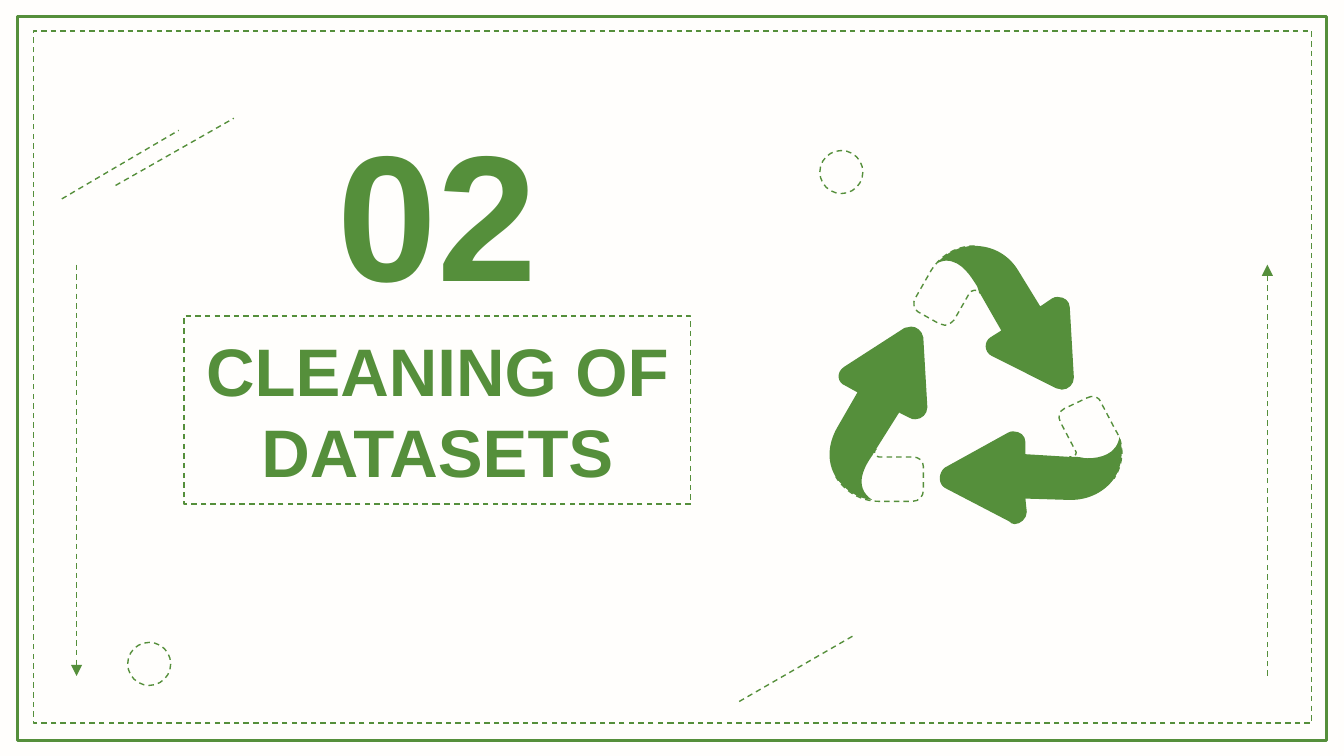
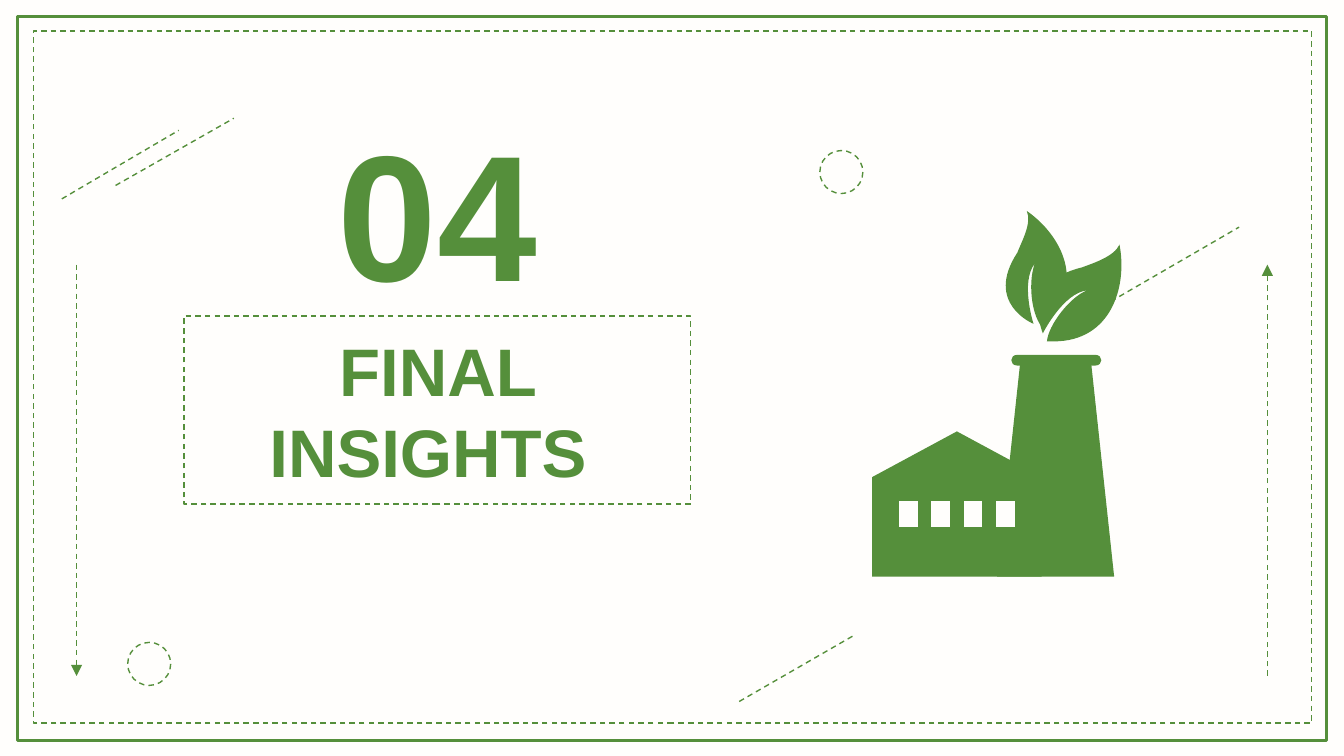
from lxml import etree
from pptx import Presentation
from pptx import util as u
from pptx.dml.color import RGBColor
from pptx.enum import dml, shapes, text
from pptx.oxml.ns import qn

COLORS = {"leaf": "558F3B", "paper": "FFFEFC"}
FONT = "Arial"

RECYCLE_TAILS = [
    [(6.52, 3.34), (6.22, 3.55), (6.29, 3.66, 6.41, 3.73, 6.54, 3.73),
     (6.54, 3.73, 6.54, 3.73, 6.55, 3.73),
     (6.79, 3.73), (6.84, 3.73, 6.87, 3.69, 6.87, 3.65), (6.87, 3.47),
     (6.87, 3.43, 6.84, 3.4, 6.79, 3.4), (6.54, 3.4),
     (6.52, 3.4, 6.5, 3.37, 6.51, 3.35), (6.52, 3.34)],
    [(7.25, 1.83), (7.12, 1.83, 7, 1.9, 6.93, 2.01), (6.81, 2.22),
     (6.79, 2.25, 6.8, 2.3, 6.83, 2.32), (6.99, 2.41),
     (7.01, 2.41, 7.02, 2.42, 7.03, 2.42),
     (7.06, 2.42, 7.08, 2.4, 7.1, 2.38), (7.22, 2.17),
     (7.23, 2.16, 7.24, 2.16, 7.25, 2.16),
     (7.27, 2.16, 7.28, 2.16, 7.29, 2.17), (7.29, 2.18), (7.25, 1.83)],
    [(8.12, 2.95), (8.11, 2.95, 8.1, 2.95, 8.09, 2.96), (7.92, 3.04),
     (7.88, 3.06, 7.87, 3.1, 7.89, 3.14), (8, 3.35),
     (8.02, 3.37, 8, 3.4, 7.97, 3.4), (7.96, 3.4), (8.29, 3.56),
     (8.36, 3.45, 8.37, 3.31, 8.3, 3.2), (8.19, 2.99),
     (8.18, 2.96, 8.15, 2.95, 8.12, 2.95)],
]
RECYCLE_HEADS = [
    [(6.78, 2.43), (6.76, 2.43, 6.75, 2.44, 6.73, 2.44), (6.28, 2.73),
     (6.22, 2.77, 6.23, 2.85, 6.29, 2.87), (6.38, 2.92), (6.23, 3.18),
     (6.16, 3.3, 6.15, 3.44, 6.22, 3.55),
     (6.28, 3.64, 6.38, 3.71, 6.49, 3.72),
     (6.34, 3.62, 6.44, 3.46, 6.49, 3.39),
     (6.5, 3.37, 6.52, 3.34, 6.52, 3.34), (6.69, 3.07), (6.77, 3.11),
     (6.78, 3.12, 6.8, 3.12, 6.81, 3.12),
     (6.86, 3.12, 6.9, 3.08, 6.9, 3.03), (6.87, 2.51),
     (6.86, 2.46, 6.82, 2.43, 6.78, 2.43)],
    [(7.25, 1.83), (7.14, 1.83, 7.04, 1.88, 6.97, 1.96),
     (6.99, 1.95, 7.02, 1.94, 7.04, 1.94),
     (7.16, 1.94, 7.23, 2.07, 7.27, 2.13),
     (7.28, 2.16, 7.29, 2.18, 7.29, 2.18), (7.45, 2.46), (7.37, 2.51),
     (7.32, 2.54, 7.32, 2.62, 7.38, 2.65), (7.86, 2.89),
     (7.88, 2.89, 7.89, 2.9, 7.9, 2.9),
     (7.95, 2.9, 7.99, 2.86, 7.99, 2.81), (7.96, 2.29),
     (7.96, 2.24, 7.92, 2.21, 7.87, 2.21),
     (7.86, 2.21, 7.84, 2.21, 7.83, 2.22), (7.74, 2.28), (7.58, 2.02),
     (7.51, 1.9, 7.39, 1.83, 7.25, 1.83)],
    [(7.54, 3.21), (7.53, 3.21, 7.51, 3.21, 7.5, 3.22), (7.03, 3.48),
     (6.98, 3.52, 6.98, 3.6, 7.03, 3.63), (7.51, 3.88),
     (7.52, 3.89, 7.53, 3.9, 7.55, 3.9),
     (7.59, 3.9, 7.64, 3.86, 7.64, 3.81), (7.63, 3.71), (7.95, 3.72),
     (7.95, 3.72, 7.96, 3.72, 7.97, 3.72),
     (8.1, 3.72, 8.22, 3.66, 8.29, 3.56),
     (8.35, 3.47, 8.36, 3.35, 8.33, 3.25),
     (8.31, 3.38, 8.19, 3.41, 8.09, 3.41),
     (8.06, 3.41, 8.04, 3.4, 8.01, 3.4), (7.96, 3.4), (7.63, 3.38),
     (7.63, 3.29), (7.63, 3.24, 7.59, 3.21, 7.54, 3.21)],
]
FACTORY_WALLS = [
    [(7.59, 2.71), (7.42, 4.29), (8.29, 4.29), (8.12, 2.71)],
    [(7.57, 2.64), (7.51, 2.64, 7.51, 2.72, 7.57, 2.72), (8.15, 2.72),
     (8.21, 2.72, 8.21, 2.64, 8.15, 2.64)],
    [(7.12, 3.21), (6.49, 3.55), (6.49, 4.29), (7.75, 4.29), (7.75, 3.55),
     (7.12, 3.21)],
]
LEAVES = [
    [(7.64, 1.57), (7.68, 1.66, 7.6, 1.8, 7.57, 1.88),
     (7.32, 2.26, 7.69, 2.41, 7.69, 2.41),
     (7.69, 2.41, 7.59, 2.1, 7.7, 1.96),
     (7.65, 2.09, 7.67, 2.33, 7.75, 2.43),
     (8.1, 2.13, 7.9, 1.75, 7.64, 1.57)],
    [(8.33, 1.82), (8.29, 1.91, 8.13, 1.96, 8.05, 1.99),
     (7.59, 2.1, 7.76, 2.48, 7.76, 2.48),
     (7.76, 2.48, 7.91, 2.18, 8.09, 2.16),
     (7.96, 2.21, 7.8, 2.42, 7.79, 2.54),
     (7.8, 2.54, 7.82, 2.54, 7.84, 2.54),
     (8.27, 2.54, 8.39, 2.13, 8.33, 1.82)],
]


class SectionDeck:
    def __init__(self):
        self.deck = Presentation()
        self.deck.slide_width = u.Inches(10)
        self.deck.slide_height = u.Inches(5.625)
        fill = self.deck.slide_master.background.fill
        fill.solid()
        fill.fore_color.rgb = self.color("paper")
        self.layout = self.deck.slide_layouts[2]
        self.page = None

    def color(self, name):
        return RGBColor.from_string(COLORS[name])

    def stroke(self, line, width=0.75, dashed=True):
        line.color.rgb = self.color("leaf")
        line.width = u.Pt(width)
        if dashed:
            line.dash_style = dml.MSO_LINE.DASH

    def paint(self, shape, fill=None, outlined=True, **stroke):
        shape.shadow.inherit = False
        if fill:
            shape.fill.solid()
            shape.fill.fore_color.rgb = self.color(fill)
        else:
            shape.fill.background()
        if outlined:
            self.stroke(shape.line, **stroke)
        else:
            shape.line.fill.background()

    def preset(self, kind, area, **style):
        shape = self.page.shapes.add_shape(kind, *map(u.Inches, area))
        self.paint(shape, **style)

    def outline(self, parent, nodes, **style):
        points = [(u.Inches(node[i]), u.Inches(node[i + 1]))
                  for node in nodes for i in range(0, len(node), 2)]
        builder = parent.shapes.build_freeform(*points[0], scale=1.0)
        builder.add_line_segments(points[1:], close=True)
        shape = builder.convert_to_shape()
        track = shape._element.find(".//" + qn("a:path"))
        segments = iter(track.findall(qn("a:lnTo")))
        for node in nodes[1:]:
            segment = next(segments)
            if len(node) == 6:
                segment.tag = qn("a:cubicBezTo")
                for extra in (next(segments), next(segments)):
                    segment.append(extra[0])
                    track.remove(extra)
        self.paint(shape, **style)

    def line(self, start, end, arrow=False):
        connector = self.page.shapes.add_connector(
            shapes.MSO_CONNECTOR.STRAIGHT, *map(u.Inches, start + end))
        self.stroke(connector.line)
        if arrow:
            tail = etree.SubElement(connector.line._get_or_add_ln(),
                                    qn("a:tailEnd"))
            tail.set("type", "triangle")
        etree.SubElement(connector._element.spPr, qn("a:effectLst"))

    def heading(self, box, words, area, size, anchor):
        box.left, box.top, box.width, box.height = map(u.Inches, area)
        frame = box.text_frame
        frame.word_wrap = True
        frame.auto_size = text.MSO_AUTO_SIZE.NONE
        frame.vertical_anchor = anchor
        frame.margin_left = frame.margin_right = u.Inches(0.1)
        frame.margin_top = frame.margin_bottom = u.Inches(0.1)
        para = frame.paragraphs[0]
        para.alignment = text.PP_ALIGN.CENTER
        para.line_spacing = 1.0
        para.space_before = para.space_after = u.Pt(0)
        span = para.add_run()
        span.text = words
        span.font.name = FONT
        span.font.size = u.Pt(size)
        span.font.bold = True
        span.font.color.rgb = self.color("leaf")

    def decorate(self):
        rectangle = shapes.MSO_SHAPE.RECTANGLE
        self.preset(rectangle, (0.13, 0.12, 9.74, 5.39),
                    width=1.5, dashed=False)
        self.preset(rectangle, (0.25, 0.23, 9.51, 5.15))
        self.line((0.86, 1.38), (1.74, 0.88))
        self.line((0.46, 1.48), (1.33, 0.97))
        for left, top in ((0.95, 4.78), (6.1, 1.12)):
            self.preset(shapes.MSO_SHAPE.OVAL, (left, top, 0.32, 0.32),
                        fill="paper")
        self.line((5.5, 5.22), (6.35, 4.73))
        self.line((0.57, 1.97), (0.57, 5.03), arrow=True)
        self.line((9.43, 5.03), (9.43, 1.97), arrow=True)
        for shape in list(self.page.shapes):
            if not shape.is_placeholder:
                self.layout.shapes._spTree.append(shape._element)

    def section(self, number, title):
        first = self.page is None
        self.page = self.deck.slides.add_slide(self.layout)
        if first:
            self.decorate()
        title_box, number_box = self.page.placeholders
        self.heading(title_box, title, (1.37, 2.35, 3.77, 1.4), 36,
                     text.MSO_ANCHOR.TOP)
        self.stroke(title_box.line)
        self.heading(number_box, number, (2.02, 0.99, 2.47, 1.14), 96,
                     text.MSO_ANCHOR.MIDDLE)

    def recycle_sign(self):
        sign = self.page.shapes.add_group_shape()
        for tail, head in zip(RECYCLE_TAILS, RECYCLE_HEADS):
            self.outline(sign, tail, fill="paper")
            self.outline(sign, head, fill="leaf", outlined=False)

    def green_factory(self):
        self.line((8.08, 2.35), (9.22, 1.69))
        factory = self.page.shapes.add_group_shape()
        for wall in FACTORY_WALLS:
            self.outline(factory, wall, fill="leaf", outlined=False)
        for column in range(4):
            left = 6.69 + 0.24 * column
            right = left + 0.14
            window = [(left, 3.73), (left, 3.92), (right, 3.92), (right, 3.73)]
            self.outline(factory, window, fill="paper", outlined=False)
        for leaf in LEAVES:
            self.outline(factory, leaf, fill="leaf", outlined=False)


def main():
    show = SectionDeck()
    show.section("02", "CLEANING OF DATASETS")
    show.recycle_sign()
    show.section("04", "FINAL INSIGHTS ")
    show.green_factory()
    show.deck.save("out.pptx")


if __name__ == "__main__":
    main()
